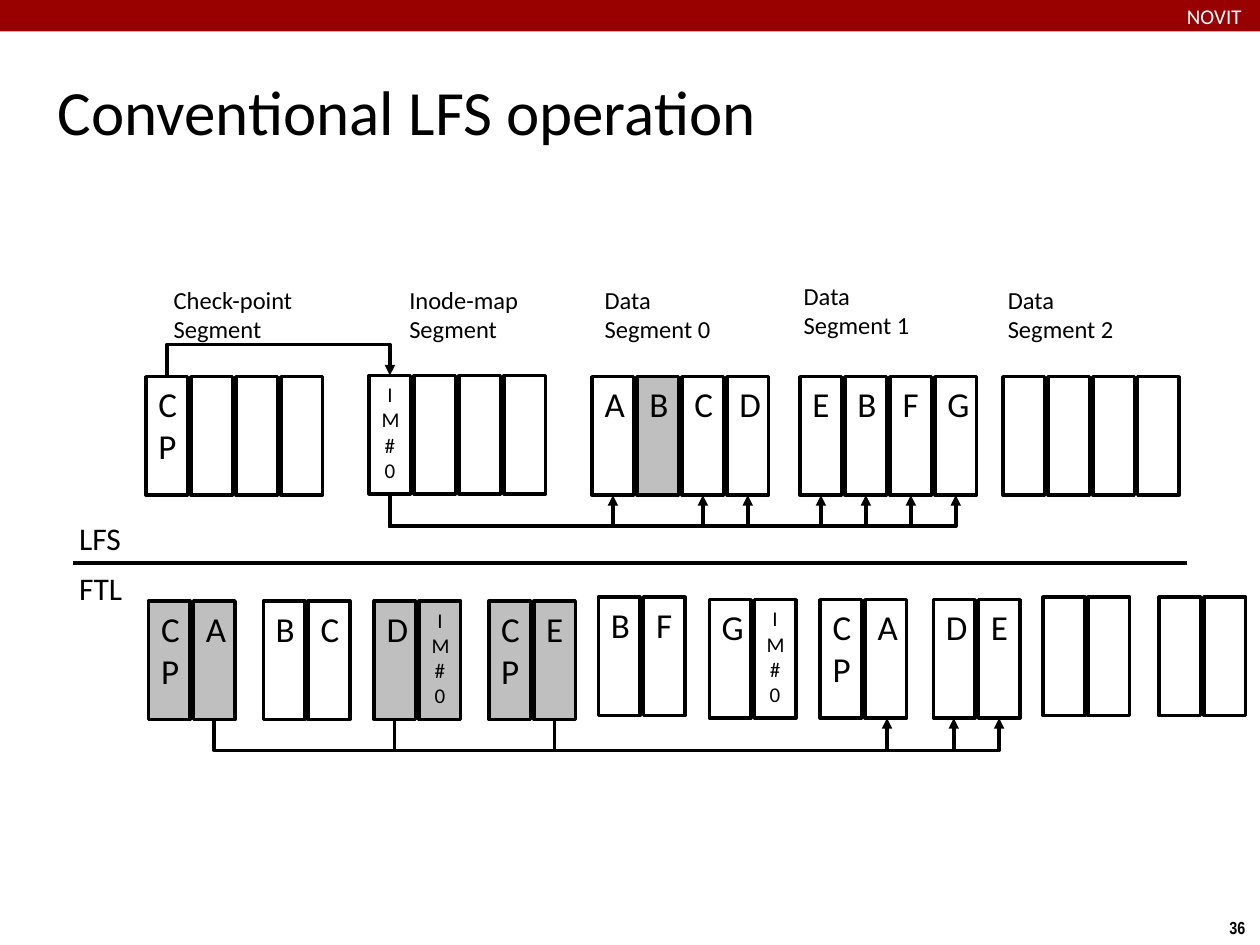
"""Build the slide on how a log-structured file system maps to flash blocks."""
from lxml import etree
from pptx import Presentation
from pptx import util as u
from pptx.dml.color import RGBColor
from pptx.enum import shapes as es, text as et
from pptx.oxml.ns import qn

BLACK = RGBColor(0x00, 0x00, 0x00)
WHITE = RGBColor(0xFF, 0xFF, 0xFF)
GREY = RGBColor(0xBF, 0xBF, 0xBF)
RED = RGBColor(0x99, 0x00, 0x00)

CELL_W, CELL_H, STEP = 0.33, 0.94, 1.07 / 3
MID = CELL_W / 2

SEGMENTS = [
    (1.16, 2.99, ["CP", "", "", ""], ""),
    (2.93, 2.98, ["IM#0", "", "", ""], ""),
    (4.7, 2.99, ["A", "B", "C", "D"], "B"),
    (6.35, 2.99, ["E", "B", "F", "G"], ""),
    (7.96, 2.99, ["", "", "", ""], ""),
]
BLOCKS = [
    (1.18, 4.77, ["CP", "A"], ["CP", "A"]),
    (2.09, 4.77, ["B", "C"], ""),
    (2.97, 4.77, ["D", "IM#0"], ["D", "IM#0"]),
    (3.88, 4.77, ["CP", "E"], ["CP", "E"]),
    (4.75, 4.74, ["B", "F"], ""),
    (5.63, 4.76, ["G", "IM#0"], ""),
    (6.51, 4.76, ["CP", "A"], ""),
    (7.41, 4.76, ["D", "E"], ""),
    (8.28, 4.74, ["", ""], ""),
    (9.2, 4.74, ["", ""], ""),
]
LABELS = [
    (1.28, 2.21, ["Check-point", "Segment"]),
    (3.15, 2.21, ["Inode-map", "Segment"]),
    (4.7, 2.21, ["Data", "Segment 0"]),
    (6.28, 2.18, ["Data", "Segment 1"]),
    (7.9, 2.21, ["Data", "Segment 2"]),
]
MOVES = [(1.7, 7.04), (3.13, 7.57), (4.4, 7.93)]


def add_run(para, words, size, color=BLACK, font="Calibri", bold=False):
    """Add one styled run to a paragraph."""
    run = para.add_run()
    run.text = words
    run.font.size = u.Pt(size)
    run.font.name = font
    run.font.bold = bold
    run.font.color.rgb = color


def add_text(slide, box, lines, size, inset=None, wrap=True,
             anchor=et.MSO_ANCHOR.TOP, **style):
    """Add a text box with one paragraph a line."""
    frame = slide.shapes.add_textbox(*map(u.Inches, box)).text_frame
    frame.word_wrap = wrap
    frame.vertical_anchor = anchor
    if inset is not None:
        frame.margin_left = frame.margin_right = u.Inches(inset)
        frame.margin_top = frame.margin_bottom = u.Inches(inset)
    for num, words in enumerate(lines):
        para = frame.add_paragraph() if num else frame.paragraphs[0]
        add_run(para, words, size, **style)


def add_rect(slide, box, fill, edge=None):
    """Add a flat rectangle with an optional outline."""
    rect = slide.shapes.add_shape(es.MSO_SHAPE.RECTANGLE, *map(u.Inches, box))
    rect.shadow.inherit = False
    rect.fill.solid()
    rect.fill.fore_color.rgb = fill
    if edge is None:
        rect.line.fill.background()
    else:
        rect.line.color.rgb = edge
        rect.line.width = u.Pt(2)
    return rect


def add_cells(slide, left, top, names, stale):
    """Add a row of page cells, with the stale ones in grey."""
    for num, name in enumerate(names):
        box = (left + num * STEP, top, CELL_W, CELL_H)
        cell = add_rect(slide, box, GREY if name and name in stale else WHITE, BLACK)
        if name:
            frame = cell.text_frame
            frame.word_wrap = True
            frame.vertical_anchor = et.MSO_ANCHOR.TOP
            para = frame.paragraphs[0]
            para.alignment = et.PP_ALIGN.CENTER
            add_run(para, name, 12 if name == "IM#0" else 20)


def add_line(slide, kind, start, end):
    """Add a plain black connector."""
    line = slide.shapes.add_connector(kind, *map(u.Inches, start + end))
    line.line.color.rgb = BLACK
    line.line.width = u.Pt(2)
    etree.SubElement(line.element.spPr, qn("a:effectLst"))
    return line


def add_bend(slide, start, end, via):
    """Add a U-shaped arrow that runs level at height via."""
    (x1, y1), (x2, y2) = start, end
    midx, midy = (x1 + x2) / 2, (y1 + y2) / 2
    thin, span = abs(y2 - y1) / 2, (x2 - x1) / 2
    line = add_line(slide, es.MSO_CONNECTOR.ELBOW,
                    (midx - thin, midy - span), (midx + thin, midy + span))
    props = line.element.spPr
    frame = props.find(qn("a:xfrm"))
    frame.set("flipH", "1")
    frame.set("rot", str((270 if y2 > y1 else 90) * 60000))
    if y2 < y1:
        frame.set("flipV", "1")
    guides = props.find(qn("a:prstGeom")).find(qn("a:avLst"))
    ratio = round((via - y1) / (y2 - y1) * 100000)
    etree.SubElement(guides, qn("a:gd"), name="adj1", fmla=f"val {ratio}")
    etree.SubElement(props.find(qn("a:ln")), qn("a:tailEnd"), type="triangle")


def main():
    """Build and save the slide."""
    deck = Presentation()
    deck.slide_width, deck.slide_height = u.Inches(10), u.Inches(7.5)
    slide = deck.slides.add_slide(deck.slide_layouts[6])

    add_text(slide, (9.66, 7.23, 0.34, 0.27), ["36"], 10, wrap=False,
             font="Arial Narrow", bold=True)
    add_rect(slide, (0, 0, 10, 0.25), RED)
    add_text(slide, (0.42, 0.28, 9.17, 1.19), ["Conventional LFS operation"], 36,
             inset=0.04, anchor=et.MSO_ANCHOR.MIDDLE)
    add_text(slide, (9.42, 0.03, 0.58, 0.19), ["NOVIT"], 12, inset=0, color=WHITE)

    add_line(slide, es.MSO_CONNECTOR.STRAIGHT, (0.58, 4.47), (9.42, 4.47))
    for top, name in ((4.07, "LFS"), (4.47, "FTL")):
        add_text(slide, (0.53, top, 0.7, 0.4), [name], 18)
    for left, top, lines in LABELS:
        add_text(slide, (left, top, 1.17, 0.57), lines, 14)
    for group in SEGMENTS + BLOCKS:
        add_cells(slide, *group)

    inode = 2.93 + MID
    add_bend(slide, (1.16 + MID, 2.99), (inode, 2.98), 2.73)
    for left, _, names, stale in SEGMENTS[2:4]:
        for num, name in enumerate(names):
            if name not in stale:
                goal = left + num * STEP + MID
                add_bend(slide, (inode, 3.92), (goal, 3.93), 4.18)
    for old, new in MOVES:
        add_bend(slide, (old, 5.71), (new, 5.7), 5.96)
    deck.save("out.pptx")


if __name__ == "__main__":
    main()
